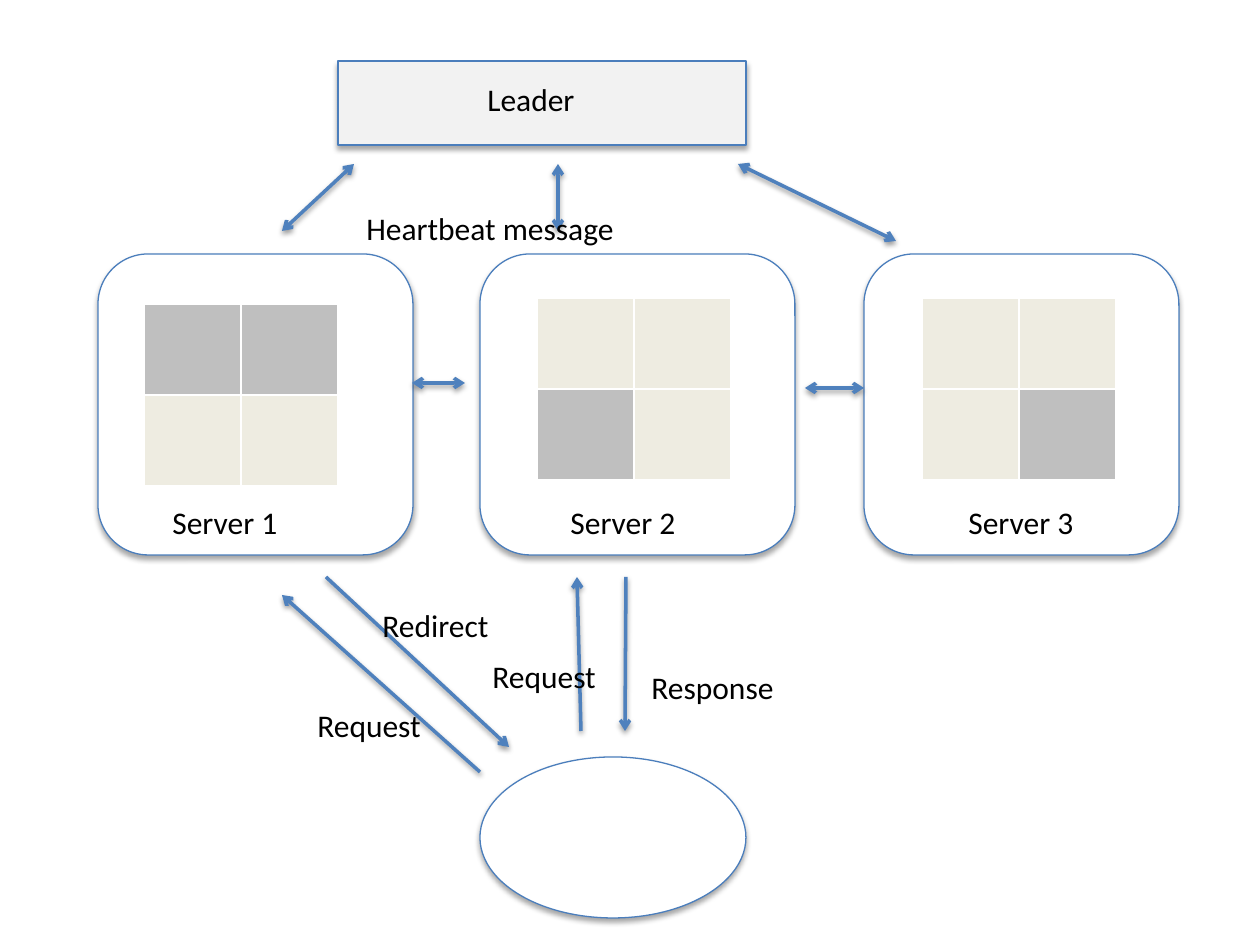
from lxml import etree
from pptx import Presentation, util as u
from pptx.dml.color import RGBColor
from pptx.enum import shapes, text
from pptx.oxml.ns import qn

PX = 914400 / 126
WHITE = RGBColor(0xFF, 0xFF, 0xFF)
BLACK = RGBColor(0x00, 0x00, 0x00)
PALE_GREY = RGBColor(0xF2, 0xF2, 0xF2)
GREY = RGBColor(0xBF, 0xBF, 0xBF)
CREAM = RGBColor(0xEE, 0xEC, 0xE1)
OUTLINE = RGBColor(0x4B, 0x7E, 0xBC)
ARROW = RGBColor(0x4F, 0x81, 0xBD)
KIND = shapes.MSO_SHAPE

deck = Presentation()
deck.slide_width, deck.slide_height = u.Inches(10), u.Inches(7.5)
slide = deck.slides.add_slide(deck.slide_layouts[6])


def add_text(words, left, top, width, wrap=True, indent=0, size=18, font="Calibri", color=BLACK):
    """Add a one-line label at a place given in pixels."""
    label = slide.shapes.add_textbox(*(round(v * PX) for v in (left, top, width, 51)))
    frame = label.text_frame
    frame.word_wrap = wrap
    frame.auto_size = text.MSO_AUTO_SIZE.SHAPE_TO_FIT_TEXT
    line = frame.paragraphs[0]
    if indent:
        line._p.get_or_add_pPr().set("marL", str(round(indent * PX)))
    run = line.add_run()
    run.text = words
    run.font.size, run.font.name = u.Pt(size), font
    run.font.color.rgb = color


def cast_shadow(part, distance, opacity):
    """Give a shape or connector a soft shadow straight below it."""
    effects = etree.SubElement(part._element.spPr, qn("a:effectLst"))
    shadow = etree.SubElement(effects, qn("a:outerShdw"), blurRad=str(u.Pt(3.1)),
                              dist=str(u.Pt(distance)), dir="5400000", rotWithShape="0")
    black = etree.SubElement(shadow, qn("a:srgbClr"), val="000000")
    etree.SubElement(black, qn("a:alpha"), val=str(opacity * 1000))


# Leader, servers and client
server_lefts = (98, 480, 864)
boxes = [(KIND.RECTANGLE, 338, 61, 408, 84, PALE_GREY)]
boxes += [(KIND.ROUNDED_RECTANGLE, left, 254, 315, 301, WHITE) for left in server_lefts]
boxes += [(KIND.OVAL, 480, 757, 266, 161, WHITE)]
for kind, left, top, width, height, fill in boxes:
    box = slide.shapes.add_shape(kind, *(round(v * PX) for v in (left, top, width, height)))
    box.fill.solid()
    box.fill.fore_color.rgb = fill
    box.line.color.rgb = OUTLINE
    box.line.width = u.Pt(0.75)
    cast_shadow(box, 1.8, 35)

# Partitions of each server: left, top, and the cells it leads
for left, top, led_cells in [
    (144, 304, {(0, 0), (0, 1)}),
    (537, 298, {(1, 0)}),
    (922, 298, {(1, 1)}),
]:
    partitions = slide.shapes.add_table(
        2, 2, *(round(v * PX) for v in (left, top, 194, 182))).table
    for row in range(2):
        for column in range(2):
            cell = partitions.cell(row, column)
            cell.fill.solid()
            cell.fill.fore_color.rgb = GREY if (row, column) in led_cells else CREAM

# Messages: start, end, and whether they go both ways
for start, end, both_ways in [
    ((480, 772), (282, 595), False),
    ((326, 577), (509, 747), False),
    ((282, 231), (354, 164), True),
    ((558, 164), (558, 231), True),
    ((738, 164), (896, 241), True),
    ((581, 731), (577, 577), False),
    ((626, 577), (625, 731), False),
    ((412, 383), (465, 383), True),
    ((805, 388), (864, 388), True),
]:
    message = slide.shapes.add_connector(
        shapes.MSO_CONNECTOR.STRAIGHT, *(round(v * PX) for v in start + end))
    message.line.color.rgb = ARROW
    message.line.width = u.Pt(2)
    stroke = message._element.spPr.find(qn("a:ln"))
    for tip in ("a:headEnd", "a:tailEnd") if both_ways else ("a:tailEnd",):
        etree.SubElement(stroke, qn(tip), type="arrow")
    cast_shadow(message, 1.6, 38)

for number, (left, width) in enumerate([(160, 194), (558, 208), (956, 194)], 1):
    add_text(f"Server {number}", left, 497, width)
add_text("Leader", 412, 74, 227, indent=63)
add_text("Response", 639, 662, 155)
for words, left, top, width in [
    ("Request", 305, 700, 131),
    ("Redirect", 370, 600, 134),
    ("Request", 480, 651, 131),
    ("Heartbeat message", 354, 203, 276),
]:
    add_text(words, left, top, width, wrap=False)

deck.save("out.pptx")
